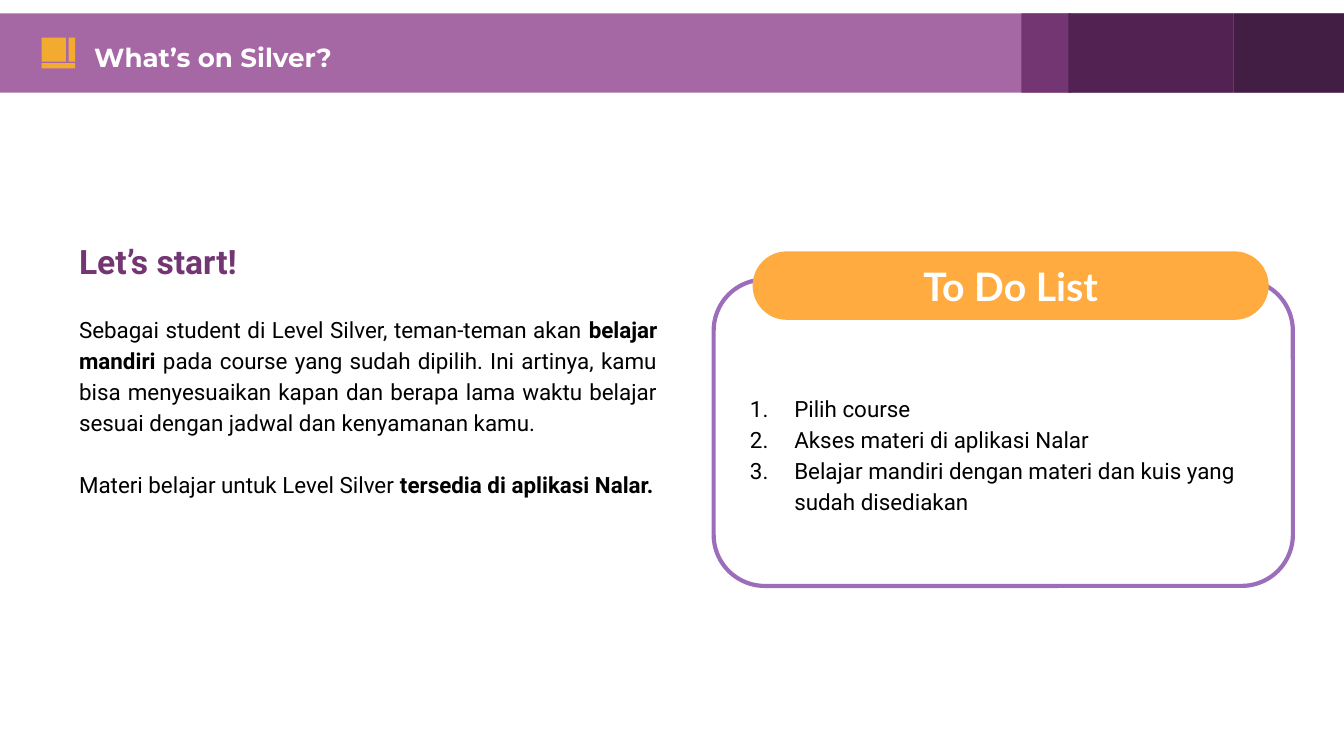
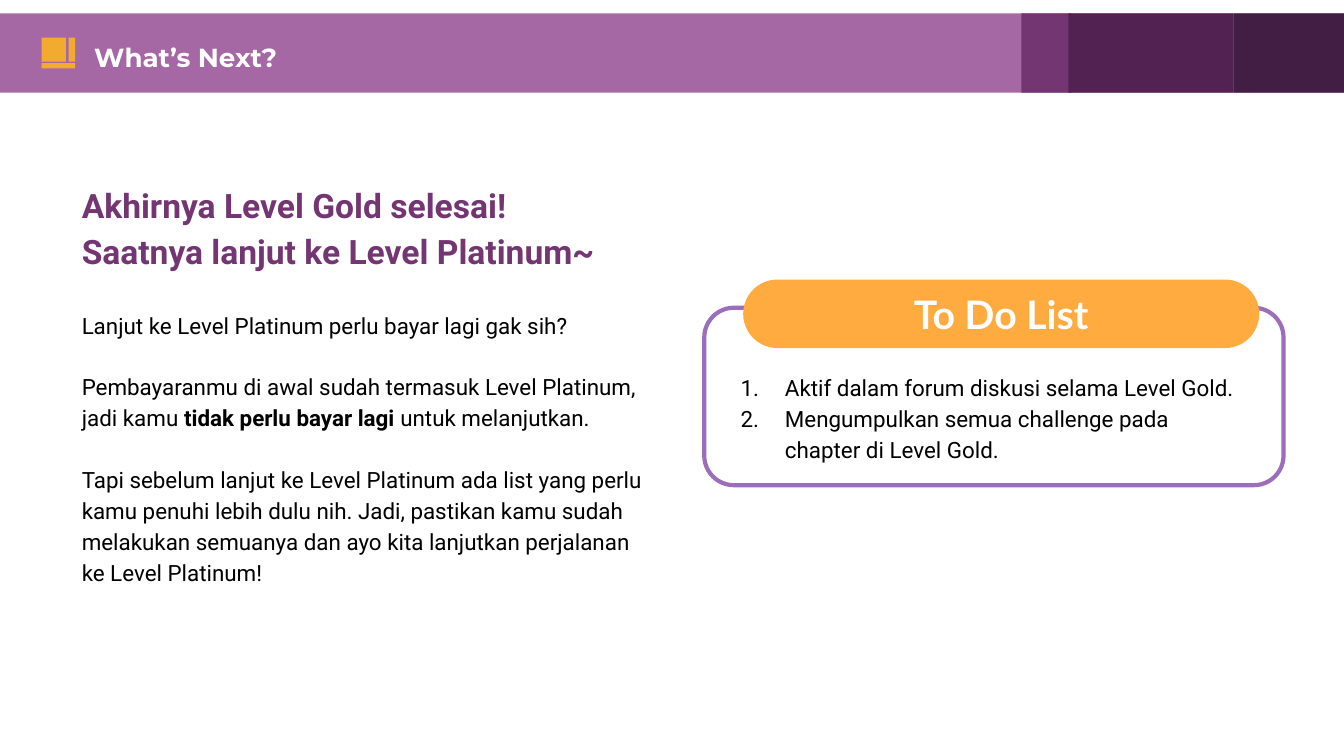
import pptx
import pptx.util
import pptx.dml.color
import pptx.enum.shapes
import pptx.enum.text
import pptx.oxml.ns
import lxml.etree

Inches, Pt = pptx.util.Inches, pptx.util.Pt
SHAPE = pptx.enum.shapes.MSO_SHAPE
ALIGN = pptx.enum.text.PP_ALIGN
ANCHOR = pptx.enum.text.MSO_ANCHOR

COLORS = {
    "white": "FFFFFF", "black": "000000",
    "band": "A667A5", "purple": "743673", "plum": "512252", "night": "421E44",
    "mark": "F2AB2F", "pill": "FFAB40", "outline": "9B6DBB",
}
LINE_SPACING = 1.15
PARAGRAPH_GAP = 16.5


def rgb(name):
    return pptx.dml.color.RGBColor.from_string(COLORS[name])


def add_block(page, kind, box, fill, line=None):
    block = page.shapes.add_shape(kind, *map(Inches, box))
    block.shadow.inherit = False
    block.fill.solid()
    block.fill.fore_color.rgb = rgb(fill)
    if line:
        block.line.color.rgb = rgb(line)
        block.line.width = Pt(2.25)
    else:
        block.line.fill.background()
    return block


def set_frame(shape, anchor=ANCHOR.TOP, inset=(0.1, 0.1)):
    frame = shape.text_frame
    frame.word_wrap = True
    frame.auto_size = pptx.enum.text.MSO_AUTO_SIZE.NONE
    frame.vertical_anchor = anchor
    frame.margin_left = frame.margin_right = Inches(inset[0])
    frame.margin_top = frame.margin_bottom = Inches(inset[1])
    return frame


def style_paragraph(para, font, size, color, bold=False, align=ALIGN.LEFT, spacing=None):
    para.alignment = align
    para.line_spacing = spacing
    for span in para.runs:
        span.font.name = font
        span.font.size = Pt(size)
        span.font.color.rgb = rgb(color)
        span.font.bold = bold or bool(span.font.bold)


def place(placeholder, box):
    """Move a placeholder to its box and in front of the shapes drawn so far."""
    placeholder.left, placeholder.top, placeholder.width, placeholder.height = map(Inches, box)
    placeholder.element.getparent().append(placeholder.element)


def add_header(page, title, top=0.1, height=0.59):
    # Band and its dark segments
    segments = [(0, 10, "band"), (9.18, 10, "night"),
                (7.6, 7.97, "purple"), (7.95, 9.18, "plum")]
    for left, right, fill in segments:
        add_block(page, SHAPE.RECTANGLE, (left, top, right - left, height), fill)
    # Block mark
    for left, offset, width, tall in [(0.31, 0.18, 0.18, 0.18), (0.51, 0.18, 0.05, 0.18),
                                      (0.31, 0.37, 0.25, 0.04)]:
        add_block(page, SHAPE.RECTANGLE, (left, top + offset, width, tall), "mark")
    # Title
    place(page.shapes.title, (0.63, top + 0.17, 7.98, 0.25))
    frame = set_frame(page.shapes.title, inset=(0.07, 0.04))
    frame.text = title
    style_paragraph(frame.paragraphs[0], "Montserrat", 14, "white", bold=True)


def add_text(page, box, headings=(), paragraphs=(), align=ALIGN.LEFT):
    """Headings, then paragraphs in which **marks** enclose bold words."""
    frame = set_frame(page.shapes.add_textbox(*map(Inches, box)))
    lines = [(text, True) for text in headings] + [(text, False) for text in paragraphs]
    for index, (text, is_heading) in enumerate(lines):
        para = frame.add_paragraph() if index else frame.paragraphs[0]
        for part, words in enumerate(text.split("**")):
            if words:
                span = para.add_run()
                span.text = words
                span.font.bold = part % 2 == 1
        if index and not is_heading:
            para.space_before = Pt(PARAGRAPH_GAP)
        size, color = (18, "purple") if is_heading else (12, "black")
        style_paragraph(para, "Roboto", size, color, is_heading, align, LINE_SPACING)


def number_paragraph(para):
    qn = pptx.oxml.ns.qn
    properties = para._p.get_or_add_pPr()
    properties.set("marL", str(Inches(0.5)))
    properties.set("indent", str(Inches(-0.33)))
    color = lxml.etree.SubElement(properties, qn("a:buClr"))
    lxml.etree.SubElement(color, qn("a:srgbClr"), val=COLORS["black"])
    lxml.etree.SubElement(properties, qn("a:buFont"), typeface="Roboto")
    lxml.etree.SubElement(properties, qn("a:buAutoNum"), type="arabicPeriod")


def add_todo_card(page, box, tasks):
    left, top, width, height = box
    # Outlined card
    card = add_block(page, SHAPE.ROUNDED_RECTANGLE, box, "white", "outline")
    card.adjustments[0] = 0.167
    # Heading pill over the upper edge
    pill = add_block(page, SHAPE.ROUNDED_RECTANGLE, (left + 0.29, top - 0.21, 3.84, 0.51), "pill")
    pill.adjustments[0] = 0.5
    frame = set_frame(pill, ANCHOR.MIDDLE)
    frame.text = "To Do List"
    style_paragraph(frame.paragraphs[0], "Lato", 21, "white", bold=True, align=ALIGN.CENTER)
    # Numbered tasks
    body = page.placeholders[1]
    place(body, (left, top + 0.38, width - 0.26, height - 0.46))
    frame = set_frame(body, ANCHOR.MIDDLE)
    frame.text = "\n".join(tasks)
    for para in frame.paragraphs:
        number_paragraph(para)
        para.space_before = Pt(0)
        style_paragraph(para, "Roboto", 12, "black", spacing=LINE_SPACING)


def add_page(deck, title):
    page = deck.slides.add_slide(deck.slide_layouts[1])
    add_header(page, title)
    return page


def build_silver(deck):
    page = add_page(deck, "What’s on Silver?")
    add_text(page, (0.49, 1.65, 4.5, 2.13), ["Let’s start!"], [
        "Sebagai student di Level Silver, teman-teman akan **belajar mandiri** pada course "
        "yang sudah dipilih. Ini artinya, kamu bisa menyesuaikan kapan dan berapa lama "
        "waktu belajar sesuai dengan jadwal dan kenyamanan kamu.",
        "Materi belajar untuk Level Silver **tersedia di aplikasi Nalar.**",
    ], ALIGN.JUSTIFY)
    add_todo_card(page, (5.31, 2.08, 4.31, 2.28), [
        "Pilih course",
        "Akses materi di aplikasi Nalar",
        "Belajar mandiri dengan materi dan kuis yang sudah disediakan",
    ])


def build_next(deck):
    page = add_page(deck, "What’s Next?")
    add_text(page, (0.51, 1.23, 4.48, 0.85), headings=[
        "Akhirnya Level Gold selesai!",
        "Saatnya lanjut ke Level Platinum~",
    ])
    add_text(page, (0.51, 2.19, 4.48, 2.34), paragraphs=[
        "Lanjut ke Level Platinum perlu bayar lagi gak sih?",
        "Pembayaranmu di awal sudah termasuk Level Platinum, jadi kamu"
        "** tidak perlu bayar lagi **untuk melanjutkan.",
        "Tapi sebelum lanjut ke Level Platinum ada list yang perlu kamu penuhi lebih dulu "
        "nih. Jadi, pastikan kamu sudah melakukan semuanya dan ayo kita lanjutkan "
        "perjalanan ke Level Platinum!",
    ])
    add_todo_card(page, (5.24, 2.29, 4.31, 1.32), [
        "Aktif dalam forum diskusi selama Level Gold.",
        "Mengumpulkan semua challenge pada chapter di Level Gold.",
    ])


def main():
    deck = pptx.Presentation()
    # Widescreen page, 16:9
    deck.slide_width = Inches(10)
    deck.slide_height = deck.slide_width * 9 // 16
    build_silver(deck)
    build_next(deck)
    deck.save("out.pptx")


if __name__ == "__main__":
    main()
